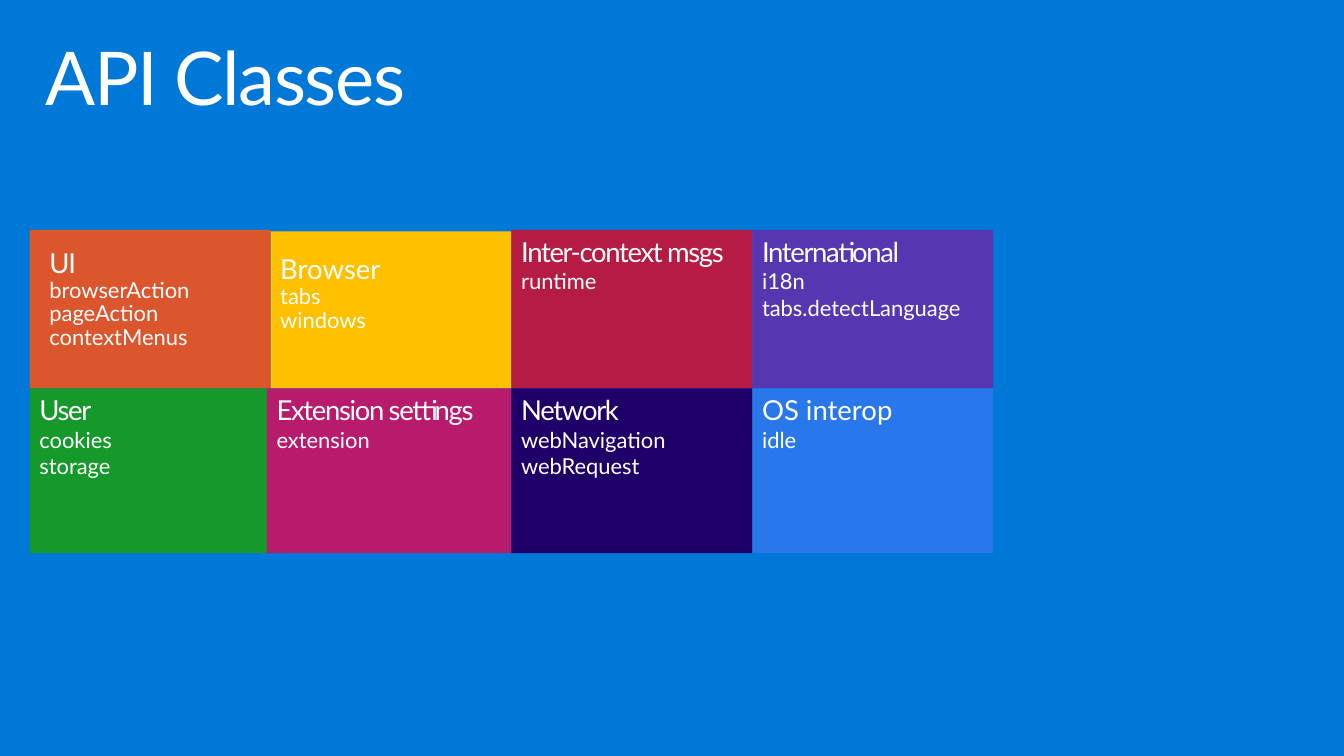
import pptx
import pptx.util
import pptx.dml.color
import pptx.enum.shapes
import pptx.enum.text

Pt = pptx.util.Pt
COLORS = {
    "background": "0078D7", "text": "FFFFFF",
    "orange": "DB552D", "yellow": "FFC000", "red": "B51B43", "purple": "5736B1",
    "green": "15992A", "magenta": "B81B6C", "navy": "1F0068", "blue": "2878EC",
}


def rgb(name):
    return pptx.dml.color.RGBColor.from_string(COLORS[name])


def format_line(paragraph, size, line_spacing, tracking):
    paragraph.alignment = pptx.enum.text.PP_ALIGN.LEFT
    paragraph.line_spacing = line_spacing
    paragraph.font.name = "Lato"
    paragraph.font.size = Pt(size)
    paragraph.font.color.rgb = rgb("text")
    if tracking:
        for run in paragraph.runs:
            run._r.get_or_add_rPr().set("spc", str(tracking))


presentation = pptx.Presentation()
presentation.slide_width = Pt(979.2)
presentation.slide_height = Pt(550.8)
slide = presentation.slides.add_slide(presentation.slide_layouts[5])
slide.background.fill.solid()
slide.background.fill.fore_color.rgb = rgb("background")

heading = slide.shapes.title
heading.left, heading.top = Pt(21.6), Pt(23)
heading.width, heading.height = Pt(936), Pt(72)
heading_frame = heading.text_frame
heading_frame.text = "API Classes"
heading_frame.word_wrap = True
heading_frame.auto_size = pptx.enum.text.MSO_AUTO_SIZE.NONE
heading_frame.vertical_anchor = pptx.enum.text.MSO_ANCHOR.TOP
heading_frame.margin_left = heading_frame.margin_right = Pt(11.5)
heading_frame.margin_top = heading_frame.margin_bottom = Pt(7.2)
format_line(heading_frame.paragraphs[0], 54, 0.9, -100)

GRID_LEFT, COLUMN_WIDTH = 21.6, 175.5
ROWS = [(167.5, 115.5), (283, 120)]
STANDARD = (7.2, 3.6, 1)
API_CLASSES = [
    [
        ("UI", ["browserAction", "pageAction", "contextMenus"], "orange", (14.4, 14.4, 0.9), -100, 0, 0),
        ("Browser", ["tabs", "windows"], "yellow", (7.2, 18, 0.9), 0, 0, 1),
        ("Inter-context msgs", ["runtime"], "red", STANDARD, -100, 0, 0),
        ("International", ["i18n", "tabs.detectLanguage"], "purple", STANDARD, -100, 0, 0),
    ],
    [
        ("User", ["cookies", "storage"], "green", STANDARD, -100, 0, 0),
        ("Extension settings", ["extension"], "magenta", STANDARD, -100, 2.7, 0),
        ("Network", ["webNavigation", "webRequest"], "navy", STANDARD, -100, 0, 0),
        ("OS interop", ["idle"], "blue", STANDARD, 0, 0, 0),
    ],
]

for (row_top, row_height), row in zip(ROWS, API_CLASSES):
    for column, (category, members, color, layout, tracking, overlap, drop) in enumerate(row):
        side_margin, top_margin, line_spacing = layout
        tile = slide.shapes.add_shape(
            pptx.enum.shapes.MSO_SHAPE.RECTANGLE,
            Pt(GRID_LEFT + column * COLUMN_WIDTH - overlap), Pt(row_top + drop),
            Pt(COLUMN_WIDTH + overlap), Pt(row_height - drop))
        tile.shadow.inherit = False
        tile.fill.solid()
        tile.fill.fore_color.rgb = rgb(color)
        tile.line.fill.background()
        frame = tile.text_frame
        frame.word_wrap = True
        frame.vertical_anchor = pptx.enum.text.MSO_ANCHOR.TOP
        frame.margin_left = frame.margin_right = Pt(side_margin)
        frame.margin_top = Pt(top_margin)
        frame.text = "\n".join([category] + members)
        for position, paragraph in enumerate(frame.paragraphs):
            if position == 0:
                format_line(paragraph, 20, line_spacing, tracking)
            else:
                format_line(paragraph, 16, line_spacing, 0)

presentation.save("out.pptx")
